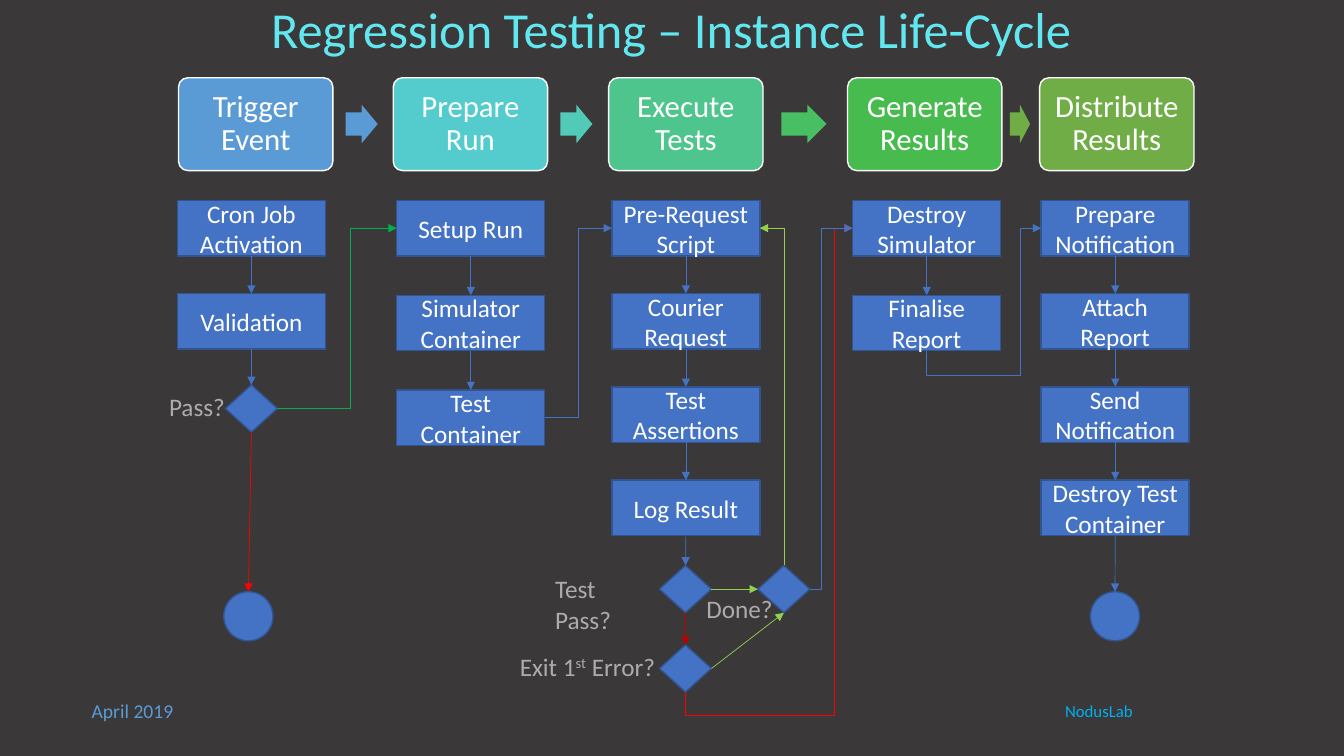
import dataclasses
import itertools

import lxml.etree
import pptx
import pptx.dml.color
import pptx.enum.shapes
import pptx.enum.text
import pptx.oxml.ns
import pptx.util

Cm = pptx.util.Cm
Pt = pptx.util.Pt
SHAPE = pptx.enum.shapes.MSO_SHAPE
ALIGN = pptx.enum.text.PP_ALIGN
ANCHOR = pptx.enum.text.MSO_ANCHOR
qn = pptx.oxml.ns.qn
TOP, LEFT, BOTTOM, RIGHT = range(4)


@dataclasses.dataclass(frozen=True)
class Theme:
    font: str = "Calibri"
    background: str = "3A3838"
    title: str = "61E7F0"
    white: str = "FFFFFF"
    node: str = "4472C4"
    node_line: str = "325491"
    label: str = "AFABAB"
    date: str = "5B9BD5"
    company: str = "00B0F0"
    passed: str = "00B050"
    next_test: str = "92D050"
    failed: str = "FF0000"
    test_failed: str = "C00000"
    title_size: int = 36
    stage_size: int = 22
    body_size: int = 18
    date_size: int = 14
    company_size: int = 12


def rgb(value):
    return pptx.dml.color.RGBColor.from_string(value)


class FlowSlide:
    def __init__(self, prs, theme):
        self.theme = theme
        self.s = prs.slides.add_slide(prs.slide_layouts[5])
        self.s.background.fill.solid()
        self.s.background.fill.fore_color.rgb = rgb(theme.background)

    def style(self, tf, size, color, align=ALIGN.LEFT, spacing=None):
        for p in tf.paragraphs:
            p.alignment = align
            p.line_spacing = spacing
            for r in p.runs:
                r.font.name = self.theme.font
                r.font.size = Pt(size)
                r.font.color.rgb = rgb(color)

    def title(self, text, x, y, w, h):
        sp = self.s.shapes.title
        sp.left, sp.top, sp.width, sp.height = map(Cm, (x, y, w, h))
        tf = sp.text_frame
        tf.text = text
        tf.word_wrap = False
        tf.auto_size = pptx.enum.text.MSO_AUTO_SIZE.NONE
        tf.vertical_anchor = ANCHOR.TOP
        self.style(tf, self.theme.title_size, self.theme.title, ALIGN.CENTER, 0.9)

    def label(self, parts, x, y, w, h, size=None, color=None, wrap=False):
        """Add a text box; every second part is superscript."""
        tf = self.s.shapes.add_textbox(*map(Cm, (x, y, w, h))).text_frame
        tf.word_wrap = wrap
        for i, part in enumerate(parts):
            r = tf.paragraphs[0].add_run()
            r.text = part
            if i % 2:
                r.font._element.set("baseline", "30000")
        self.style(tf, size or self.theme.body_size, color or self.theme.label)

    def shape(self, kind, x, y, w, h, fill, line=None, adjustments=()):
        sp = self.s.shapes.add_shape(kind, *map(Cm, (x, y, w, h)))
        sp.shadow.inherit = False
        sp.fill.solid()
        sp.fill.fore_color.rgb = rgb(fill)
        if line:
            sp.line.color.rgb = rgb(line)
            sp.line.width = Pt(1)
        else:
            sp.line.fill.background()
        for i, value in enumerate(adjustments):
            sp.adjustments[i] = value
        return sp

    def node(self, kind, x, y, w, h, text=""):
        sp = self.shape(kind, x, y, w, h, self.theme.node, self.theme.node_line)
        if text:
            tf = sp.text_frame
            tf.text = text
            tf.vertical_anchor = ANCHOR.MIDDLE
            self.style(tf, self.theme.body_size, self.theme.white, ALIGN.CENTER)
        return sp

    def stage(self, text, x, y, w, h, fill):
        sp = self.shape(SHAPE.ROUNDED_RECTANGLE, x, y, w, h, fill, self.theme.white, [0.1])
        tf = sp.text_frame
        tf.text = text
        tf.vertical_anchor = ANCHOR.MIDDLE
        tf.margin_left = tf.margin_right = Cm(0.3)
        self.style(tf, self.theme.stage_size, self.theme.white, ALIGN.CENTER, 0.9)

    def arrow(self, start, start_side, end, end_side, color=None, kind="STRAIGHT"):
        kind = pptx.enum.shapes.MSO_CONNECTOR[kind]
        c = self.s.shapes.add_connector(kind, 0, 0, 0, 0)
        c.begin_connect(start, start_side)
        c.end_connect(end, end_side)
        c.line.color.rgb = rgb(color or self.theme.node)
        c.line.width = Pt(0.5)
        sppr = c._element.spPr
        lxml.etree.SubElement(sppr.find(qn("a:ln")), qn("a:tailEnd"), type="triangle")
        lxml.etree.SubElement(sppr, qn("a:effectLst"))
        return c

    def elbow(self, start, start_side, end, end_side, bends, color=None):
        """Add a bent arrow; bends are the positions of its free segments."""
        c = self.arrow(start, start_side, end, end_side, color, "ELBOW")
        sppr = c._element.spPr
        geom = sppr.find(qn("a:prstGeom"))
        geom.set("prst", f"bentConnector{len(bends) + 2}")
        guides = geom.find(qn("a:avLst"))
        for i, bend in enumerate(bends, 1):
            lxml.etree.SubElement(guides, qn("a:gd"), name=f"adj{i}",
                                  fmla=f"val {round(bend * 100000)}")
        if start_side in (TOP, BOTTOM):
            dx, dy = c.end_x - c.begin_x, c.end_y - c.begin_y
            mid_x, mid_y = (c.begin_x + c.end_x) // 2, (c.begin_y + c.end_y) // 2
            c.width, c.height = abs(dy), abs(dx)
            c.left, c.top = mid_x - abs(dy) // 2, mid_y - abs(dx) // 2
            xfrm = sppr.find(qn("a:xfrm"))
            xfrm.set("rot", "16200000")
            xfrm.set("flipH", "0")
            xfrm.set("flipV", str(int(dx < 0)))


def main():
    theme = Theme()
    prs = pptx.Presentation()
    prs.slide_width, prs.slide_height = Cm(33.87), Cm(19.05)
    flow = FlowSlide(prs, theme)
    flow.title("Regression Testing – Instance Life-Cycle", 2.39, 0, 29.06, 1.8)
    flow.label(["NodusLab"], 26.59, 17.53, 4.55, 0.76, theme.company_size, theme.company)
    flow.label(["April 2019"], 2.06, 17.48, 6.71, 0.86, theme.date_size, theme.date)

    for text, x, fill in (
        ("Trigger Event", 4.5, "5B9BD5"),
        ("Prepare Run", 9.91, "54CCCD"),
        ("Execute Tests", 15.34, "4DC58D"),
        ("Generate Results", 21.36, "48BB4F"),
        ("Distribute Results", 26.2, "70AD47"),
    ):
        flow.stage(text, x, 1.96, 3.89, 2.34, fill)
    for x, w, fill in ((8.71, 0.81, "5B9BD5"), (14.12, 0.81, "52CAB8"),
                       (19.69, 1.14, "49BF64"), (25.45, 0.51, "70AD47")):
        flow.shape(SHAPE.RIGHT_ARROW, x, 2.64, w, 0.97, fill, adjustments=(0.6, 0.5))

    columns = []
    for x, pitch, steps in (
        (4.47, 2.35, ["Cron Job Activation", "Validation"]),
        (10, 2.39, ["Setup Run", "Simulator Container", "Test Container"]),
        (15.42, 2.35, ["Pre-Request Script", "Courier Request", "Test Assertions",
                       "Log Result"]),
        (21.49, 2.39, ["Destroy Simulator", "Finalise Report"]),
        (26.24, 2.35, ["Prepare Notification", "Attach Report", "Send\nNotification",
                       "Destroy Test Container"]),
    ):
        boxes = [flow.node(SHAPE.RECTANGLE, x, 5.05 + i * pitch, 3.73, 1.4, text)
                 for i, text in enumerate(steps)]
        for upper, lower in itertools.pairwise(boxes):
            flow.arrow(upper, BOTTOM, lower, TOP)
        columns.append(boxes)
    trigger, prepare, execute, generate, distribute = columns

    passed, test_passed, done, exit_early = [
        flow.node(SHAPE.DIAMOND, x, y, 1.31, 1.19)
        for x, y in ((5.68, 9.7), (16.62, 14.25), (19.1, 14.25), (16.62, 16.25))]
    aborted, finished = [flow.node(SHAPE.OVAL, x, 14.91, 1.24, 1.24) for x in (5.64, 27.48)]

    flow.arrow(trigger[-1], BOTTOM, passed, TOP)
    flow.arrow(passed, BOTTOM, aborted, TOP, theme.failed)
    flow.arrow(execute[-1], BOTTOM, test_passed, TOP)
    flow.arrow(test_passed, RIGHT, done, LEFT, theme.next_test)
    flow.arrow(test_passed, BOTTOM, exit_early, TOP, theme.test_failed)
    flow.arrow(exit_early, RIGHT, done, BOTTOM, theme.next_test)
    flow.arrow(distribute[-1], BOTTOM, finished, TOP)

    flow.elbow(passed, RIGHT, prepare[0], LEFT, [0.61], theme.passed)
    flow.elbow(prepare[-1], RIGHT, execute[0], LEFT, [0.5])
    flow.elbow(done, TOP, execute[0], RIGHT, [], theme.next_test)
    flow.elbow(exit_early, BOTTOM, generate[0], LEFT, [-0.05, 0.89], theme.failed)
    flow.elbow(done, RIGHT, generate[0], LEFT, [0.28])
    flow.elbow(generate[-1], BOTTOM, distribute[0], LEFT, [-0.2, 0.82])

    flow.label(["Pass?"], 4.01, 9.73, 1.93, 1.02)
    flow.label(["Test Pass?"], 13.74, 14.33, 2.8, 1.02, wrap=True)
    flow.label(["Done?"], 17.55, 14.83, 2.21, 1.02)
    flow.label(["Exit 1", "st", " Error?"], 12.85, 16.28, 3.99, 1.02)
    prs.save("out.pptx")


if __name__ == "__main__":
    main()
